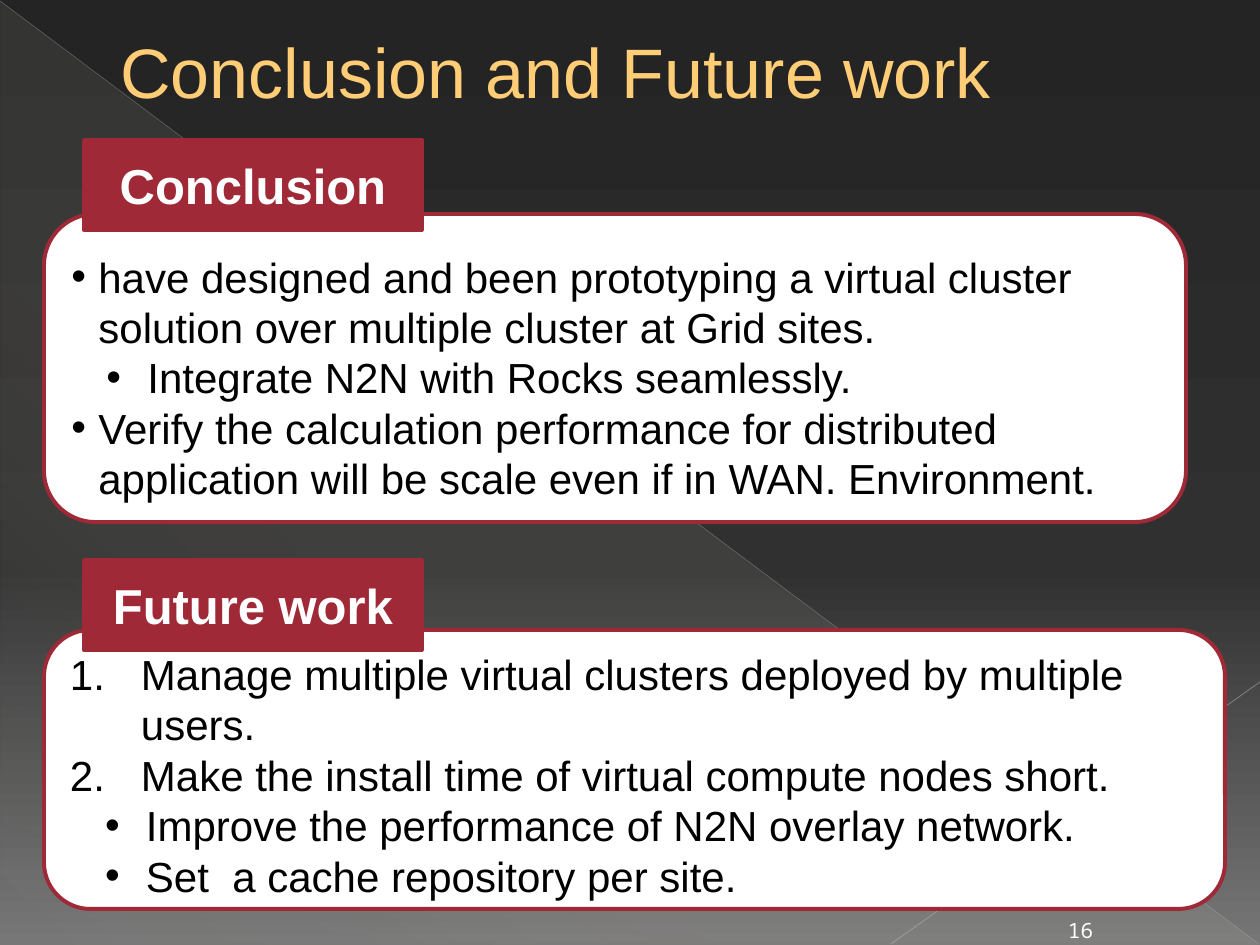
from lxml import etree
from pptx import Presentation
from pptx.dml.color import RGBColor
from pptx.enum.shapes import MSO_CONNECTOR, MSO_SHAPE
from pptx.enum.text import MSO_ANCHOR, PP_ALIGN
from pptx.oxml.ns import qn
from pptx.util import Pt

PX = 914400 // 126

RECT, ROUND_RECT = MSO_SHAPE.RECTANGLE, MSO_SHAPE.ROUNDED_RECTANGLE
TRIANGLE = MSO_SHAPE.RIGHT_TRIANGLE
STRAIGHT = MSO_CONNECTOR.STRAIGHT
TOP, MIDDLE = MSO_ANCHOR.TOP, MSO_ANCHOR.MIDDLE
LEFT, CENTER = PP_ALIGN.LEFT, PP_ALIGN.CENTER

BLACK = RGBColor(0x00, 0x00, 0x00)
WHITE = RGBColor(0xFF, 0xFF, 0xFF)
RED = RGBColor(0x9F, 0x29, 0x36)
GOLD = RGBColor(0xFF, 0xCD, 0x76)
CREAM = RGBColor(0xE3, 0xDE, 0xD1)
GREY = RGBColor(0xB6, 0xB6, 0xB6)
LIGHT_GREY = RGBColor(0xBF, 0xBF, 0xBF)
NIGHT = RGBColor(0x24, 0x24, 0x24)
CHARCOAL = RGBColor(0x30, 0x30, 0x30)
ASH = RGBColor(0x76, 0x76, 0x76)

# Left margin and hanging indent in px, then the bullet element
LIST_STYLES = {
    "bullet": (27, -27, "a:buChar", {"char": "•"}),
    "sub": (76, -41, "a:buChar", {"char": "•"}),
    "number": (71, -71, "a:buAutoNum", {"type": "arabicPeriod"}),
}

CONCLUSION = [
    ("bullet", "have designed and been prototyping a virtual cluster "
               "solution over multiple cluster at Grid sites."),
    ("sub", "Integrate N2N with Rocks seamlessly."),
    ("bullet", "Verify the calculation performance for distributed "
               "application will be scale even if in WAN. Environment."),
]
FUTURE_WORK = [
    ("number", "Manage multiple virtual clusters deployed by multiple users."),
    ("number", "Make the install time of virtual compute nodes short."),
    ("sub", "Improve the performance of N2N overlay network."),
    ("sub", "Set  a cache repository per site."),
]


def px(*lengths):
    return [n * PX for n in lengths]


def set_alpha(clr, percent):
    etree.SubElement(clr, qn("a:alpha"), val=str(percent * 1000))


def set_gradient(fill, element, angle, stops):
    """Stops are (position %, colour, opacity %); angle is counter-clockwise."""
    fill.gradient()
    fill.gradient_angle = angle
    gs_lst = element.find(".//" + qn("a:gsLst"))
    for gs in list(gs_lst):
        gs_lst.remove(gs)
    for pos, color, opacity in stops:
        gs = etree.SubElement(gs_lst, qn("a:gs"), pos=str(pos * 1000))
        clr = etree.SubElement(gs, qn("a:srgbClr"), val=str(color))
        if opacity < 100:
            set_alpha(clr, opacity)


def format_text(p, size, color, font="Arial", bold=False, align=LEFT):
    p.alignment = align
    for r in p.runs:
        r.font.name = font
        r.font.size = Pt(size)
        r.font.bold = bold
        r.font.color.rgb = color


def add_line(s, start, end, color, width, opacity):
    line = s.shapes.add_connector(STRAIGHT, *px(*start, *end))
    line.line.color.rgb = color
    line.line.width = Pt(width)
    sp_pr = line._element.spPr
    set_alpha(sp_pr.find(".//" + qn("a:srgbClr")), opacity)
    etree.SubElement(sp_pr, qn("a:effectLst"))


def add_box(s, kind, box, fill, line_width):
    sp = s.shapes.add_shape(kind, *px(*box))
    sp.shadow.inherit = False
    sp.fill.solid()
    sp.fill.fore_color.rgb = fill
    sp.line.color.rgb = RED
    sp.line.width = Pt(line_width)
    return sp


def add_text(s, box, text, size, color, **style):
    tf = s.shapes.add_textbox(*px(*box)).text_frame
    tf.word_wrap = True
    tf.vertical_anchor = MIDDLE
    tf.margin_top = tf.margin_bottom = 0
    tf.text = text
    format_text(tf.paragraphs[0], size, color, **style)


def add_list_item(p, style, text):
    margin, indent, tag, attrs = LIST_STYLES[style]
    p.text = text
    p_pr = p._p.get_or_add_pPr()
    p_pr.set("marL", str(margin * PX))
    p_pr.set("indent", str(indent * PX))
    etree.SubElement(p_pr, qn("a:buFont"), typeface="Arial")
    etree.SubElement(p_pr, qn(tag), attrs)
    p.line_spacing = Pt(28.8)
    format_text(p, 24, BLACK)


def add_section(s, heading, tab_top, panel_box, inset, items):
    tf = add_box(s, ROUND_RECT, panel_box, WHITE, 2.25).text_frame
    tf.word_wrap = True
    tf.vertical_anchor = TOP
    tf.margin_top = inset * PX
    tf.margin_bottom = 0
    for i, (style, text) in enumerate(items):
        p = tf.add_paragraph() if i else tf.paragraphs[0]
        add_list_item(p, style, text)

    tf = add_box(s, RECT, (84, tab_top, 338, 90), RED, 2).text_frame
    tf.vertical_anchor = MIDDLE
    tf.text = heading
    format_text(tf.paragraphs[0], 28, WHITE, bold=True, align=CENTER)


def add_backdrop(s):
    set_gradient(s.background.fill, s.element, 270,
                 [(0, NIGHT, 100), (60, CHARCOAL, 100), (100, ASH, 100)])
    sp = s.shapes.add_shape(TRIANGLE, *px(1, 2, 1258, 942))
    sp.shadow.inherit = False
    sp.line.fill.background()
    set_gradient(sp.fill, sp._element, 227,
                 [(0, CREAM, 10), (70, CREAM, 8), (100, CREAM, 1)])
    add_line(s, (0, 1), (1259, 944), GREY, 0.39, 35)
    add_line(s, (1260, 682), (891, 944), LIGHT_GREY, 0.47, 45)


def main():
    prs = Presentation()
    prs.slide_width, prs.slide_height = px(1260, 945)
    s = prs.slides.add_slide(prs.slide_layouts[6])

    add_backdrop(s)

    # Slide number
    add_text(s, (1046, 910, 69, 40), "16", 12, WHITE,
             font="Noto Sans Mono", align=CENTER)

    # Sections
    add_section(s, "Conclusion", 140, (44, 214, 1142, 308), 22, CONCLUSION)
    add_section(s, "Future work", 560, (44, 630, 1181, 279), 5, FUTURE_WORK)

    # Title
    add_text(s, (108, -14, 1068, 169), "Conclusion and Future work", 40, GOLD)

    prs.save("out.pptx")


if __name__ == "__main__":
    main()
